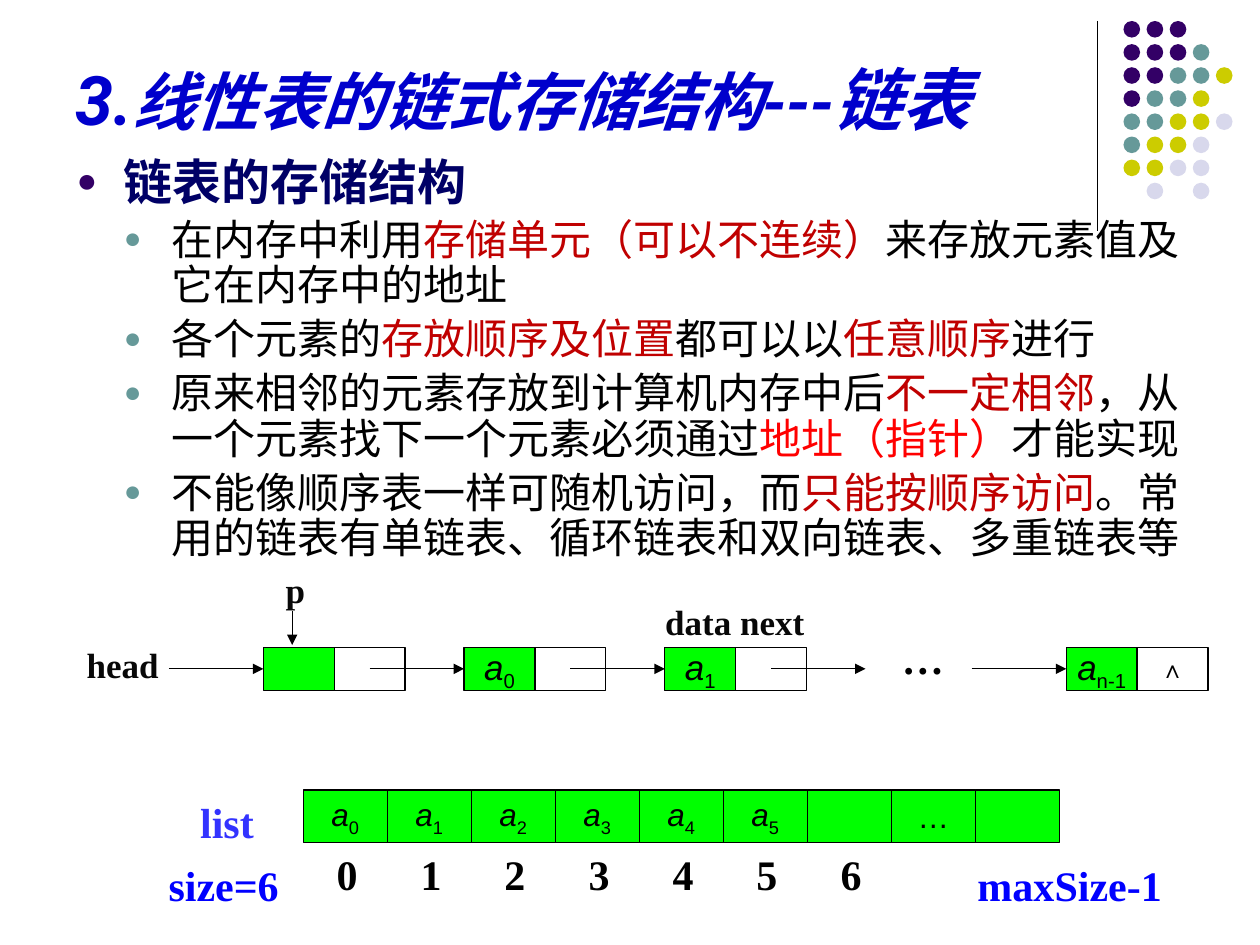
from pptx import Presentation
from pptx import util as u
from pptx.dml.color import RGBColor
from pptx.enum import shapes, text
from pptx.oxml.ns import qn
from lxml import etree
from dataclasses import dataclass


@dataclass(frozen=True)
class Theme:
    ink: str = "000000"
    soft: str = "080808"
    white: str = "FFFFFF"
    title: str = "0000CC"
    head: str = "000066"
    mark: str = "C00000"
    alert: str = "FF0000"
    cell: str = "00FF00"
    list: str = "3333FF"
    size: str = "0000FF"
    plum: str = "330066"
    teal: str = "669999"
    lime: str = "CCCC00"
    pale: str = "D8D8EC"
    sans: str = "Roboto"
    plain: str = "Arial"
    serif: str = "Times New Roman"
    big: int = 39
    mid: int = 36
    lead: int = 28
    body: int = 24
    node: int = 20
    slot: int = 18
    tiny: int = 14


T = Theme()

TITLE = [("3.", T.big), ("线性表的链式存储结构---", T.mid), ("链表", T.big)]
LEAD = "链表的存储结构"
POINTS = [
    [("在内存中利用", T.ink), ("存储单元（可以不连续）", T.mark),
     ("来存放元素值及它在内存中的地址", T.ink)],
    [("各个元素的", T.ink), ("存放顺序及位置", T.mark), ("都可以以", T.ink),
     ("任意顺序", T.mark), ("进行", T.ink)],
    [("原来相邻的元素存放到计算机内存中后", T.ink), ("不一定相邻", T.mark),
     ("，从一个元素找下一个元素必须通过", T.ink), ("地址（指针）", T.alert),
     ("才能实现", T.ink)],
    [("不能像顺序表一样可随机访问，而", T.ink), ("只能按顺序访问", T.mark),
     ("。常用的链表有单链表、循环链表和双向链表、多重链表等", T.ink)],
]
DOTS = ["ppp", "pppt", "ppttl", "pttl", "ttlld", "tlld", "lldd", " d d"]
HUES = {"p": T.plum, "t": T.teal, "l": T.lime, "d": T.pale}
SLOTS = ["a0", "a1", "a2", "a3", "a4", "a5", "", "…", ""]
COUNT = 7
NODES = {0: ("", ""), 1: ("a0", ""), 2: ("a1", ""), 4: ("an-1", "∧")}
LABELS = [
    ("list", 107.3, 451.4, 54, T.body, T.list),
    ("size=6", 89.3, 487.4, 84.2, T.body, T.size),
    ("maxSize-1", 551.5, 487.4, 131.8, T.body, T.size),
    ("p", 156.2, 321.1, 33.8, T.node, T.soft),
    ("head", 42.5, 364.3, 60.5, T.node, T.soft),
    ("data next", 373, 339.8, 108, T.node, T.soft),
    ("…", 508.3, 357.8, 60.5, T.body, T.ink),
]

deck = Presentation()
deck.slide_width, deck.slide_height = u.Pt(720), u.Pt(540)
page = deck.slides.add_slide(deck.slide_layouts[6])


def rgb(hue):
    return RGBColor.from_string(hue)


def write(para, words, face, size, hue, bold=False, slant=False, base=0):
    run = para.add_run()
    run.text = words
    font = run.font
    font.name, font.size, font.bold, font.italic = face, u.Pt(size), bold, slant
    font.color.rgb = rgb(hue)
    if base:
        run._r.get_or_add_rPr().set("baseline", str(base))


def frame(left, top, wide, high):
    box = page.shapes.add_textbox(*map(u.Pt, (left, top, wide, high))).text_frame
    box.word_wrap = True
    return box


def label(words, left, top, wide, size, hue, align=text.PP_ALIGN.LEFT):
    para = frame(left, top, wide, size * 1.5).paragraphs[0]
    para.alignment = align
    write(para, words, T.serif, size, hue, bold=True)


def shape(kind, left, top, wide, high, fill, edge=None):
    item = page.shapes.add_shape(kind, *map(u.Pt, (left, top, wide, high)))
    item.shadow.inherit = False
    item.fill.solid()
    item.fill.fore_color.rgb = rgb(fill)
    if edge:
        item.line.color.rgb = rgb(edge)
        item.line.width = u.Pt(0.75)
    else:
        item.line.fill.background()
    return item


def cell(words, left, top, wide, high, size, fill=T.cell):
    item = shape(shapes.MSO_SHAPE.RECTANGLE, left, top, wide, high, fill, T.ink)
    if not words:
        return
    box = item.text_frame
    box.word_wrap = False
    box.vertical_anchor = text.MSO_ANCHOR.MIDDLE
    para = box.paragraphs[0]
    para.alignment = text.PP_ALIGN.CENTER
    if words[0] == "a":
        write(para, "a", T.plain, size, T.ink, slant=True)
        write(para, words[1:], T.plain, size, T.ink, base=-25000)
    else:
        write(para, words, T.plain, size, T.ink)


def line(x1, y1, x2, y2, arrow=True):
    item = page.shapes.add_connector(
        shapes.MSO_CONNECTOR.STRAIGHT, *map(u.Pt, (x1, y1, x2, y2)))
    item.line.color.rgb = rgb(T.ink)
    item.line.width = u.Pt(0.75)
    if arrow:
        etree.SubElement(item.line._get_or_add_ln(), qn("a:tailEnd"), type="triangle")
    etree.SubElement(item._element.spPr, qn("a:effectLst"))


def bullet(para, level, hue):
    para.level = level
    prop = para._p.get_or_add_pPr()
    prop.set("marL", str(u.Pt(27 * (level + 1))))
    prop.set("indent", str(-u.Pt(27)))
    tint = etree.SubElement(prop, qn("a:buClr"))
    etree.SubElement(tint, qn("a:srgbClr"), val=hue)
    etree.SubElement(prop, qn("a:buSzPct"), val="70000")
    etree.SubElement(prop, qn("a:buFont"), typeface=T.plain)
    etree.SubElement(prop, qn("a:buChar"), char="●")


line(627, 12, 627, 132, arrow=False)
for row, marks in enumerate(DOTS):
    for col, mark in enumerate(marks):
        if mark in HUES:
            shape(shapes.MSO_SHAPE.OVAL, 642 + 13.2 * col, 12 + 13.2 * row,
                  9.5, 9.5, HUES[mark])

top = frame(36, 9.4, 591, 73.4)
top.vertical_anchor = text.MSO_ANCHOR.BOTTOM
for words, size in TITLE:
    write(top.paragraphs[0], words, T.sans, size, T.title, bold=True, slant=True)

main = frame(36.7, 82.8, 648, 278)
bullet(main.paragraphs[0], 0, T.plum)
write(main.paragraphs[0], LEAD, T.sans, T.lead, T.head, bold=True)
for point in POINTS:
    para = main.add_paragraph()
    bullet(para, 1, T.teal)
    para.line_spacing = u.Pt(26)
    para.space_before = u.Pt(4.8)
    for words, hue in point:
        write(para, words, T.sans, T.body, hue)

for num, words in enumerate(SLOTS):
    left = 173.3 + 48 * num
    cell(words, left, 451.4, 48, 30, T.slot)
    if num < COUNT:
        label(str(num), left, 481.6, 50, T.body, T.ink, text.PP_ALIGN.CENTER)

for num, (data, link) in NODES.items():
    left = 150.5 + 114.7 * num
    cell(data, left, 370, 40.5, 24.4, T.node)
    cell(link, left + 40.5, 370, 40.5, 24.4, T.tiny, T.white)
for num in range(5):
    tip = 150.5 + 114.7 * num
    line(tip - 54, 382.2, tip, 382.2)
line(167, 349.2, 167, 368.6)

for item in LABELS:
    label(*item)

deck.save("out.pptx")
